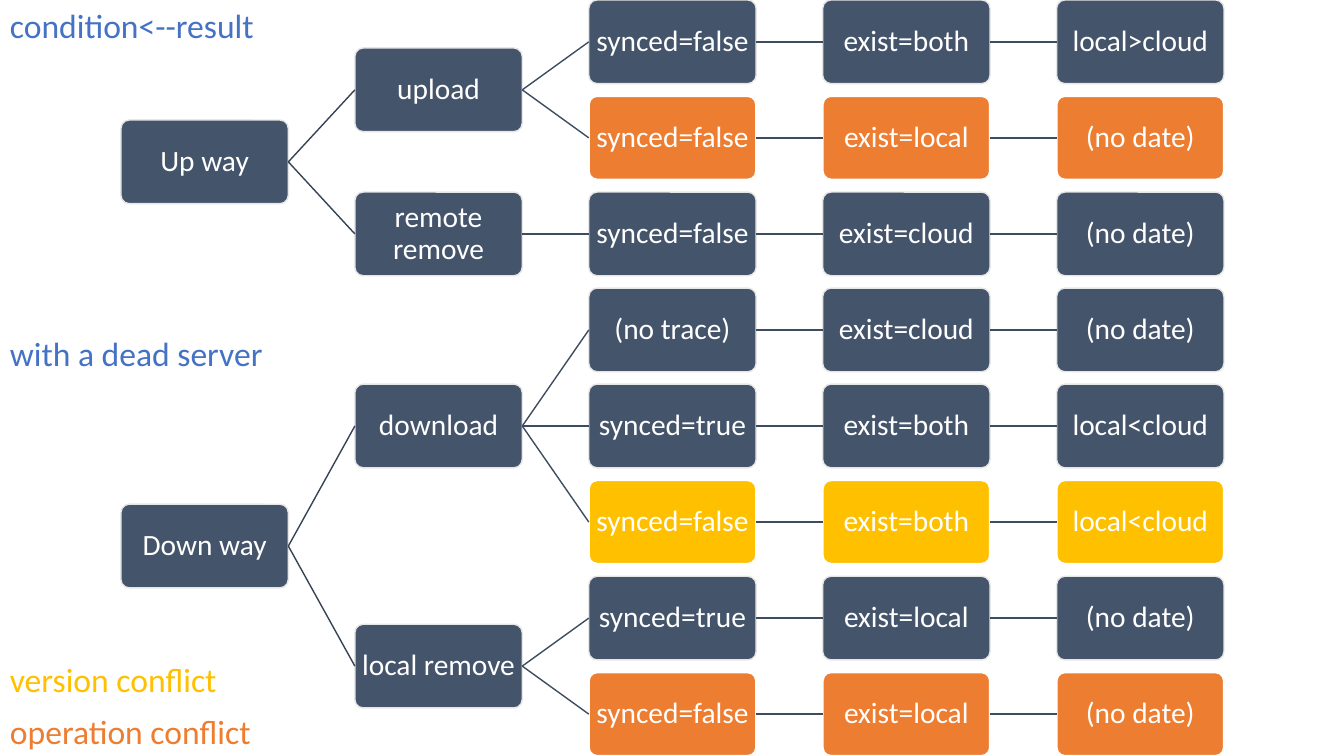
"""Build a slide with a sync decision tree and its colour key."""
from lxml import etree
from pptx import Presentation
from pptx.dml.color import RGBColor
from pptx.enum.shapes import MSO_CONNECTOR, MSO_SHAPE
from pptx.enum.text import MSO_ANCHOR, PP_ALIGN
from pptx.oxml.ns import qn
from pptx.util import Inches, Pt

STRAIGHT = MSO_CONNECTOR.STRAIGHT
ROUND = MSO_SHAPE.ROUNDED_RECTANGLE
MIDDLE = MSO_ANCHOR.MIDDLE
CENTER = PP_ALIGN.CENTER
LEFT, RIGHT = 1, 3

COLORS = {
    "plain": "44546A", "operation": "ED7D31", "version": "FFC000",
    "note": "4472C4", "white": "FFFFFF", "edge": "E7E6E6",
    "trunk": "364355", "branch": "3E4C60",
}
FONT = "Calibri"

TREE = [
    ("Up way", [
        ("upload", [
            ("plain", "synced=false", "exist=both", "local>cloud"),
            ("operation", "synced=false", "exist=local", "(no date)"),
        ]),
        ("remote remove", [
            ("plain", "synced=false", "exist=cloud", "(no date)"),
        ]),
    ]),
    ("Down way", [
        ("download", [
            ("plain", "(no trace)", "exist=cloud", "(no date)"),
            ("plain", "synced=true", "exist=both", "local<cloud"),
            ("version", "synced=false", "exist=both", "local<cloud"),
        ]),
        ("local remove", [
            ("plain", "synced=true", "exist=local", "(no date)"),
            ("operation", "synced=false", "exist=local", "(no date)"),
        ]),
    ]),
]
NOTES = [
    ("condition<--result", "note", 0, 2.65),
    ("with a dead server", "note", 3.25, 2.73),
    ("version conflict", "version", 6.49, 2.27),
    ("operation conflict", "operation", 7, 2.62),
]

HIGH, ROWS = 7.5, 8
BOX_W, BOX_H = 1.66, 0.83
START, STEP = 1.2, 2.32
PITCH = (HIGH - BOX_H) / (ROWS - 1)


def color(name):
    return RGBColor.from_string(COLORS[name])


def style(para, size, name):
    para.font.name = FONT
    para.font.size = Pt(size)
    para.font.color.rgb = color(name)


def add_box(slide, text, col, row, kind="plain"):
    box = slide.shapes.add_shape(
        ROUND, Inches(START + col * STEP), Inches(row * PITCH),
        Inches(BOX_W), Inches(BOX_H))
    box.adjustments[0] = 0.1
    box.shadow.inherit = False
    box.fill.solid()
    box.fill.fore_color.rgb = color(kind)
    box.line.color.rgb = color("edge" if kind == "plain" else "white")
    box.line.width = Pt(1 if kind == "plain" else 1.5)
    frame = box.text_frame
    frame.word_wrap = True
    frame.vertical_anchor = MIDDLE
    frame.margin_left = frame.margin_right = Inches(0.04)
    frame.margin_top = frame.margin_bottom = Inches(0.04)
    para = frame.paragraphs[0]
    para.text = text
    para.alignment = CENTER
    para.line_spacing = 0.9
    style(para, 21, "white")
    return box


def join(slide, first, second, name="branch"):
    line = slide.shapes.add_connector(STRAIGHT, 0, 0, 0, 0)
    line.begin_connect(first, RIGHT)
    line.end_connect(second, LEFT)
    line.line.color.rgb = color(name)
    line.line.width = Pt(1)
    etree.SubElement(line._element.spPr, qn("a:effectLst"))


def add_chain(slide, kind, texts, row):
    boxes = [add_box(slide, text, col, row, kind)
             for col, text in enumerate(texts, 2)]
    for first, second in zip(boxes, boxes[1:]):
        join(slide, first, second)
    return boxes[0]


def add_tree(slide):
    row = 0
    for way, actions in TREE:
        nodes, mids = [], []
        for action, chains in actions:
            heads = [add_chain(slide, kind, texts, row + i)
                     for i, (kind, *texts) in enumerate(chains)]
            mid = row + (len(chains) - 1) / 2
            node = add_box(slide, action, 1, mid)
            for head in heads:
                join(slide, node, head)
            nodes.append(node)
            mids.append(mid)
            row += len(chains)
        root = add_box(slide, way, 0, (mids[0] + mids[-1]) / 2)
        for node in nodes:
            join(slide, root, node, "trunk")


def add_note(slide, text, name, top, width):
    box = slide.shapes.add_textbox(0, Inches(top), Inches(width), Inches(0.5))
    box.text_frame.word_wrap = False
    para = box.text_frame.paragraphs[0]
    para.text = text
    style(para, 24, name)


def main():
    deck = Presentation()
    deck.slide_width = Inches(13.33)
    deck.slide_height = Inches(HIGH)
    slide = deck.slides.add_slide(deck.slide_layouts[6])
    add_tree(slide)
    for note in NOTES:
        add_note(slide, *note)
    deck.save("out.pptx")


if __name__ == "__main__":
    main()
